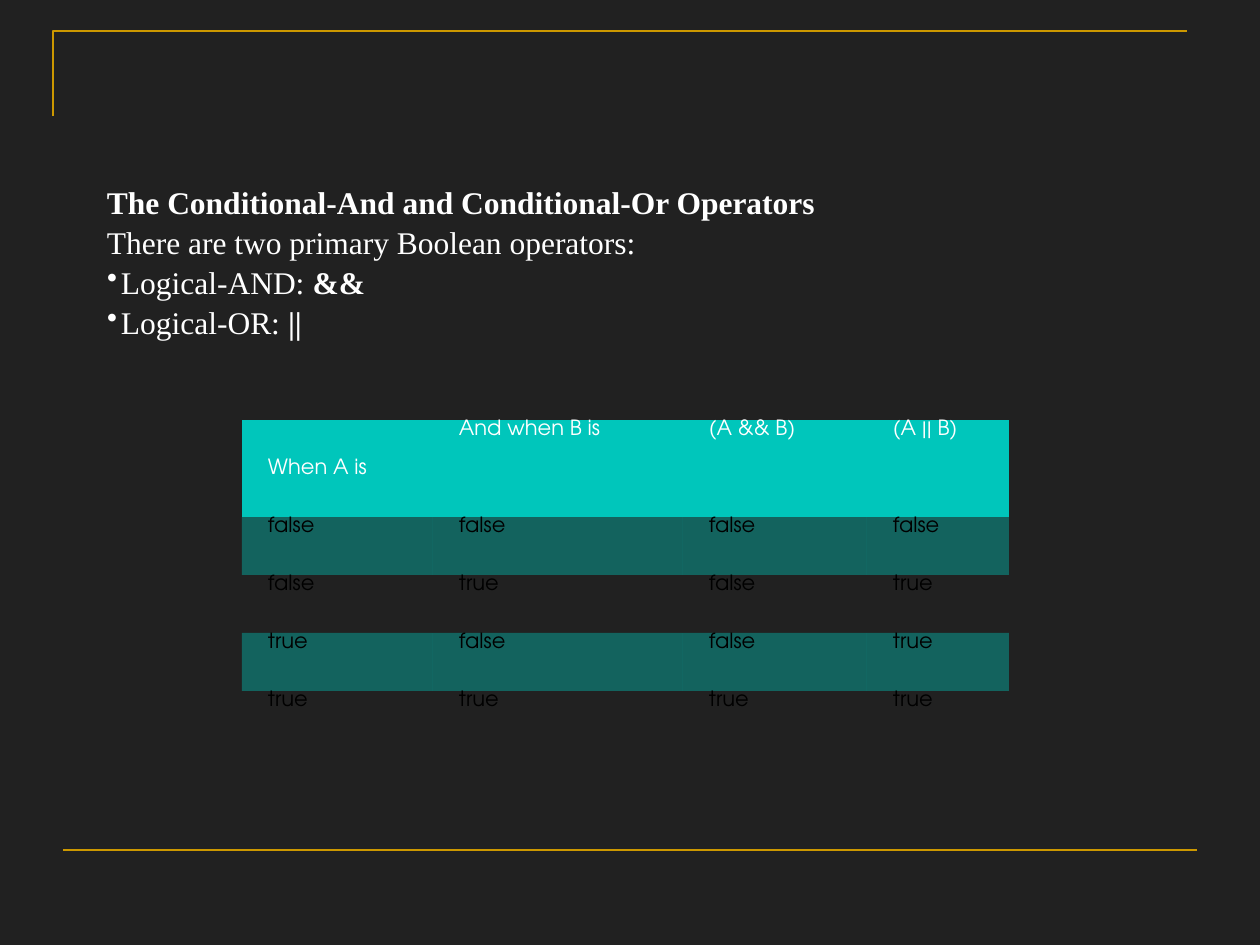
import pptx
import pptx.util
import pptx.dml.color
import pptx.enum.shapes
import pptx.enum.text
import pptx.oxml
import pptx.oxml.ns
import lxml.etree

COLORS = {
    "background": "212121",
    "rule": "CC9800",
    "light": "FFFFFF",
    "dark": "000000",
    "teal": "00C6BB",
}
BODY_FONT = "Times New Roman"
TABLE_FONT = "TeX Gyre Adventor"
NO_STYLE = "{2D5ABB26-0587-4C30-8999-92F81FD0307C}"
COLUMN_WIDTHS = [191, 250, 184, 142]
ROW_HEIGHTS = [97] + [58] * 4
HEADERS = ["When A is", "And when B is", "(A && B)", "(A || B)"]


def px(value):
    return pptx.util.Emu(round(value * 914400 / 126))


def color(name):
    return pptx.dml.color.RGBColor.from_string(COLORS[name])


def add_child(parent, tag, **attributes):
    child = lxml.etree.SubElement(parent, pptx.oxml.ns.qn(tag))
    for name, value in attributes.items():
        child.set(name, str(value))
    return child


def format_rule(shape):
    shape.line.color.rgb = color("rule")
    shape.line.width = pptx.util.Pt(1.5)


def add_corner(slide, left, top, right, bottom):
    builder = slide.shapes.build_freeform(px(left), px(bottom))
    builder.add_line_segments(
        [(px(left), px(top)), (px(right), px(top))], close=False
    )
    shape = builder.convert_to_shape()
    shape.shadow.inherit = False
    shape.fill.background()
    format_rule(shape)


def add_rule(slide, left, right, y):
    connector = slide.shapes.add_connector(
        pptx.enum.shapes.MSO_CONNECTOR.STRAIGHT, px(left), px(y), px(right), px(y)
    )
    format_rule(connector)
    add_child(connector._element.spPr, "a:effectLst")


def format_run(run, font, size, color_name, bold=False):
    run.font.name = font
    run.font.size = pptx.util.Pt(size)
    run.font.bold = bold
    run.font.color.rgb = color(color_name)


def indent(paragraph, margin, first_line=0):
    properties = paragraph._p.get_or_add_pPr()
    properties.set("marL", str(px(margin)))
    properties.set("indent", str(px(first_line)))
    return properties


def add_bullet(paragraph):
    properties = indent(paragraph, 16, -14)
    bullet_color = add_child(properties, "a:buClr")
    add_child(bullet_color, "a:srgbClr", val=COLORS["light"])
    add_child(properties, "a:buSzPct", val=94000)
    add_child(properties, "a:buChar", char="•")


def add_operator_text(slide):
    box = slide.shapes.add_textbox(px(105), px(140), px(1084), px(194))
    frame = box.text_frame
    frame.word_wrap = True
    frame.margin_left = frame.margin_right = frame.margin_bottom = 0
    frame.margin_top = px(43)
    lines = [
        (False, [("The Conditional-And and Conditional-Or Operators", True)]),
        (False, [("There are two primary Boolean operators:", False)]),
        (True, [("Logical-AND:", False), (" &&", True)]),
        (True, [("Logical-OR: ", False), ("||", True)]),
    ]
    for number, (bulleted, runs) in enumerate(lines):
        paragraph = frame.add_paragraph() if number else frame.paragraphs[0]
        paragraph.alignment = pptx.enum.text.PP_ALIGN.JUSTIFY
        paragraph.space_before = pptx.util.Pt(1.2 if number else 0)
        if bulleted:
            add_bullet(paragraph)
        else:
            indent(paragraph, 2)
        for text, bold in runs:
            run = paragraph.add_run()
            run.text = text
            format_run(run, BODY_FONT, 18, "light", bold)


def fill_cell(cell, row):
    if row and row % 2 == 0:
        cell.fill.background()
        return
    cell.fill.solid()
    cell.fill.fore_color.rgb = color("teal")
    if row:
        for fill_color in cell._tc.iter(pptx.oxml.ns.qn("a:srgbClr")):
            add_child(fill_color, "a:alpha", val=40000)


def format_cell(cell, text, row, column):
    fill_cell(cell, row)
    cell.margin_left = px(13)
    cell.margin_right = cell.margin_top = cell.margin_bottom = 0
    anchors = pptx.enum.text.MSO_ANCHOR
    centred = row == 0 and column == 0
    cell.vertical_anchor = anchors.MIDDLE if centred else anchors.TOP
    cell.text_frame.text = text
    paragraph = cell.text_frame.paragraphs[0]
    indent(paragraph, 13)
    format_run(paragraph.runs[0], TABLE_FONT, 12, "dark" if row else "light")


def truth_rows():
    values = [False, True]
    return [
        [str(value).lower() for value in (a, b, a and b, a or b)]
        for a in values
        for b in values
    ]


def add_truth_table(slide):
    rows = [HEADERS] + truth_rows()
    table = slide.shapes.add_table(
        len(rows), len(HEADERS), px(242), px(420),
        px(sum(COLUMN_WIDTHS)), px(sum(ROW_HEIGHTS)),
    ).table
    table.first_row = False
    table.horz_banding = False
    table._tbl.tblPr.find(pptx.oxml.ns.qn("a:tableStyleId")).text = NO_STYLE
    for column, width in zip(table.columns, COLUMN_WIDTHS):
        column.width = px(width)
    for row, height in zip(table.rows, ROW_HEIGHTS):
        row.height = px(height)
    for row, texts in enumerate(rows):
        for column, text in enumerate(texts):
            format_cell(table.cell(row, column), text, row, column)


def main():
    presentation = pptx.Presentation()
    presentation.slide_width = px(1260)
    presentation.slide_height = px(945)
    slide = presentation.slides.add_slide(presentation.slide_layouts[6])
    slide.background.fill.solid()
    slide.background.fill.fore_color.rgb = color("background")
    add_corner(slide, 53, 31, 1187, 116)
    add_rule(slide, 63, 1197, 850)
    add_operator_text(slide)
    add_truth_table(slide)
    presentation.save("out.pptx")


if __name__ == "__main__":
    main()
